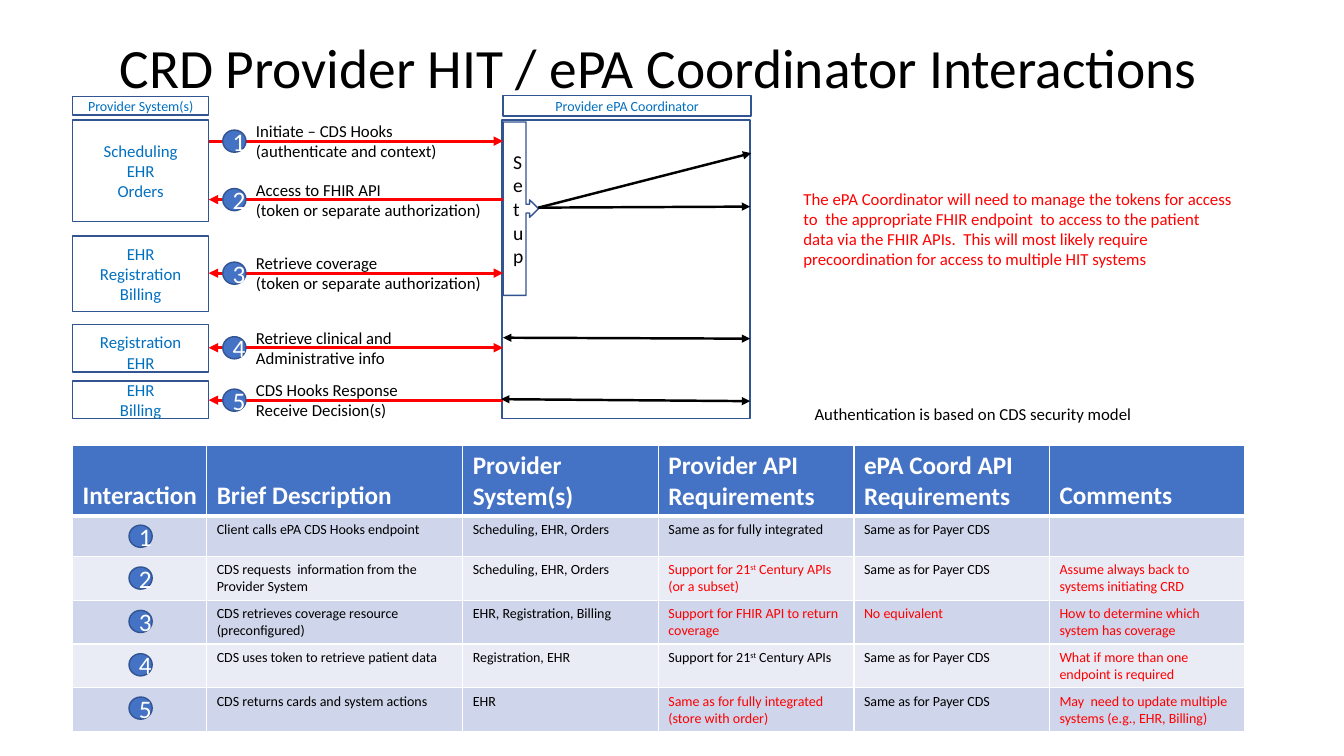
from lxml import etree
from pptx import Presentation
from pptx import util as u
from pptx.dml.color import RGBColor
from pptx.enum import shapes, text
from pptx.oxml import ns

# ---- Content ----
TITLE = "CRD Provider HIT / ePA Coordinator Interactions"
COLUMN_LABELS = [("Provider System(s)", 0.72, 0.96, 1.35, 0.18),
                 ("Provider ePA Coordinator", 4.99, 0.95, 2.46, 0.2)]
# text, top, height, top inset
PROVIDER_SYSTEMS = [("Scheduling\nEHR\nOrders", 1.19, 1.01, 0),
                    ("EHR\nRegistration\nBilling", 2.34, 0.75, 0),
                    ("Registration\nEHR", 3.22, 0.47, 0.08),
                    ("EHR\nBilling", 3.78, 0.37, 0)]
# label, arrow height on the slide, arrow at provider, arrow at coordinator
INTERACTIONS = [("Initiate – CDS Hooks\n(authenticate and context)", 1.4, False, True),
                ("Access to FHIR API\n(token or separate authorization)", 1.98, True, False),
                ("Retrieve coverage\n(token or separate authorization)", 2.71, True, True),
                ("Retrieve clinical and\nAdministrative info", 3.45, True, True),
                ("CDS Hooks Response\nReceive Decision(s)", 3.97, True, False)]
# start, end, arrow at start
COORDINATOR_ARROWS = [((5.34, 2.06), (7.45, 1.52), False),
                      ((5.34, 2.06), (7.44, 2.05), False),
                      ((4.99, 3.35), (7.44, 3.36), True),
                      ((4.97, 3.96), (7.44, 3.98), True)]
TOKEN_NOTE = ("The ePA Coordinator will need to manage the tokens for access to  the appropriate "
              "FHIR endpoint  to access to the patient data via the FHIR APIs.  This will most "
              "likely require precoordination for access to multiple HIT systems")
SECURITY_NOTE = "Authentication is based on CDS security model"
HEADERS = ["Interaction", "Brief Description", "Provider System(s)",
           "Provider API Requirements", "ePA Coord API Requirements", "Comments"]
PAYER = "Same as for Payer CDS"
# cells after the number, columns in red; ^ encloses superscript
ROWS = [
    (["Client calls ePA CDS Hooks endpoint", "Scheduling, EHR, Orders",
      "Same as for fully integrated", PAYER, ""], ()),
    (["CDS requests  information from the  Provider System", "Scheduling, EHR, Orders",
      "Support for 21^st^ Century APIs (or a subset)", PAYER,
      "Assume always back to systems initiating CRD"], (3, 5)),
    (["CDS retrieves coverage resource (preconfigured)", "EHR, Registration, Billing",
      "Support for FHIR API to return coverage", "No equivalent",
      "How to determine which system has coverage"], (3, 4, 5)),
    (["CDS uses token to retrieve patient data", "Registration, EHR",
      "Support for 21^st^ Century APIs", PAYER,
      "What if more than one endpoint is required"], (5,)),
    (["CDS returns cards and system actions", "EHR",
      "Same as for fully integrated (store with order)", PAYER,
      "May  need to update multiple systems (e.g., EHR, Billing)"], (3, 5)),
]

# ---- Theme and layout ----
THEME = dict(font="Calibri", black="000000", white="FFFFFF", red="FF0000", blue="0070C0",
             accent="4472C4", outline="325491", bands=("CFD5EA", "E9EBF5"),
             title=39.6, large=18, setup=14, body=12, small=10)
LEFT, WIDTH, BOX_WIDTH = 0.72, 11.62, 1.35
PROVIDER_EDGE, COORDINATOR_EDGE = 2.07, 4.99
BADGE_WIDTH, BADGE_HEIGHT = 0.23, 0.22
TABLE_TOP = 4.42
COLUMN_WIDTHS = [1.33, 2.54] + [1.94] * 4
ROW_HEIGHTS = [0.7, 0.4] + [0.43] * 4

presentation = Presentation()
presentation.slide_width, presentation.slide_height = u.Inches(13.33), u.Inches(7.5)
slide = presentation.slides.add_slide(presentation.slide_layouts[6])


def color(name):
    return RGBColor.from_string(THEME.get(name, name))


def write(frame, words, size="body", ink="black", bold=False, align=None, spacing=None):
    for index, line in enumerate(words.split("\n")):
        paragraph = frame.paragraphs[0] if index == 0 else frame.add_paragraph()
        paragraph.alignment, paragraph.line_spacing = align, spacing
        for part, piece in enumerate(line.split("^")):
            run = paragraph.add_run()
            run.text = piece
            run.font.name, run.font.size = THEME["font"], u.Pt(THEME[size])
            run.font.bold, run.font.color.rgb = bold, color(ink)
            if part % 2:
                run.font._element.set("baseline", "30000")


def add_text(words, left, top, width, height, wrap=True, anchor=text.MSO_ANCHOR.TOP, **style):
    frame = slide.shapes.add_textbox(*map(u.Inches, (left, top, width, height))).text_frame
    frame.word_wrap, frame.vertical_anchor = wrap, anchor
    write(frame, words, **style)


def add_box(left, top, width, height, words="", kind="RECTANGLE", fill=None, inset=None, **style):
    shape = slide.shapes.add_shape(getattr(shapes.MSO_SHAPE, kind),
                                   *map(u.Inches, (left, top, width, height)))
    shape.shadow.inherit = False
    if fill:
        shape.fill.solid()
        shape.fill.fore_color.rgb = color(fill)
    else:
        shape.fill.background()
    shape.line.color.rgb, shape.line.width = color("outline"), u.Pt(1)
    frame = shape.text_frame
    frame.vertical_anchor = text.MSO_ANCHOR.MIDDLE
    if inset is not None:
        frame.margin_top, frame.margin_bottom = u.Inches(inset), 0
    if words:
        write(frame, words, align=text.PP_ALIGN.CENTER, **style)


def add_badge(number, left, middle):
    add_box(left, middle - BADGE_HEIGHT / 2, BADGE_WIDTH, BADGE_HEIGHT, str(number),
            kind="FLOWCHART_CONNECTOR", fill="accent", size="large", ink="white")


def add_arrow(start, end, ink, width, at_start, at_end):
    connector = slide.shapes.add_connector(shapes.MSO_CONNECTOR.STRAIGHT,
                                           *map(u.Inches, (*start, *end)))
    connector.line.color.rgb, connector.line.width = color(ink), u.Pt(width)
    properties = connector._element.spPr
    outline = properties.find(ns.qn("a:ln"))
    for tag, wanted in (("a:headEnd", at_start), ("a:tailEnd", at_end)):
        if wanted:
            etree.SubElement(outline, ns.qn(tag), type="triangle")
    etree.SubElement(properties, ns.qn("a:effectLst"))


def add_borders(cell, top, bottom):
    properties = cell._tc.get_or_add_tcPr()
    for side, width in (("L", 1), ("R", 1), ("T", top), ("B", bottom)):
        border = etree.SubElement(properties, ns.qn("a:ln" + side), w=str(u.Pt(width)))
        fill = etree.SubElement(border, ns.qn("a:solidFill"))
        etree.SubElement(fill, ns.qn("a:srgbClr"), val=THEME["white"])


# ---- Title and system boxes ----
add_text(TITLE, LEFT, 0.4, WIDTH, 0.6, anchor=text.MSO_ANCHOR.MIDDLE, size="title",
         align=text.PP_ALIGN.CENTER, spacing=0.9)
for label, *place in COLUMN_LABELS:
    add_box(*place, label, size="small", ink="blue", inset=0)
for systems, top, height, inset in PROVIDER_SYSTEMS:
    add_box(LEFT, top, BOX_WIDTH, height, systems, ink="blue", inset=inset)
add_box(4.98, 1.19, 2.46, 2.96)
add_box(COORDINATOR_EDGE, 1.21, 0.35, 1.72, "Setup", kind="RIGHT_ARROW_CALLOUT", size="setup")

# ---- Interactions ----
for number, (label, middle, to_provider, to_coordinator) in enumerate(INTERACTIONS, 1):
    add_arrow((PROVIDER_EDGE, middle), (COORDINATOR_EDGE, middle), "red", 2.25,
              to_provider, to_coordinator)
    add_text(label, 2.44, middle - 0.25, 2.46, 0.5)
    add_badge(number, 2.21, middle)
for start, end, at_start in COORDINATOR_ARROWS:
    add_arrow(start, end, "black", 1.75, at_start, True)

# ---- Notes ----
add_text(TOKEN_NOTE, 7.87, 1.82, 4.45, 0.91, ink="red")
add_text(SECURITY_NOTE, 7.98, 3.96, 3.38, 0.3, wrap=False)

# ---- Table ----
table = slide.shapes.add_table(len(ROWS) + 1, len(HEADERS), *map(
    u.Inches, (LEFT, TABLE_TOP, WIDTH, sum(ROW_HEIGHTS)))).table
for column, width in zip(table.columns, COLUMN_WIDTHS):
    column.width = u.Inches(width)
for row, height in zip(table.rows, ROW_HEIGHTS):
    row.height = u.Inches(height)
for r, (words, red) in enumerate([(HEADERS, ())] + [([""] + cells, red) for cells, red in ROWS]):
    for c, entry in enumerate(words):
        cell = table.cell(r, c)
        add_borders(cell, 3 if r == 1 else 1, 3 if r == 0 else 1)
        cell.fill.solid()
        cell.fill.fore_color.rgb = color(THEME["bands"][(r - 1) % 2] if r else "accent")
        if r == 0:
            cell.vertical_anchor = text.MSO_ANCHOR.BOTTOM
            cell.margin_right = u.Inches(0.02)  # room for the longest header word
            write(cell.text_frame, entry, size="large", ink="white", bold=True)
        else:
            write(cell.text_frame, entry, size="small", ink="red" if c in red else "black")
    if r:
        add_badge(r, 1.28, TABLE_TOP + sum(ROW_HEIGHTS[:r]) + ROW_HEIGHTS[r] / 2)

presentation.save("out.pptx")
